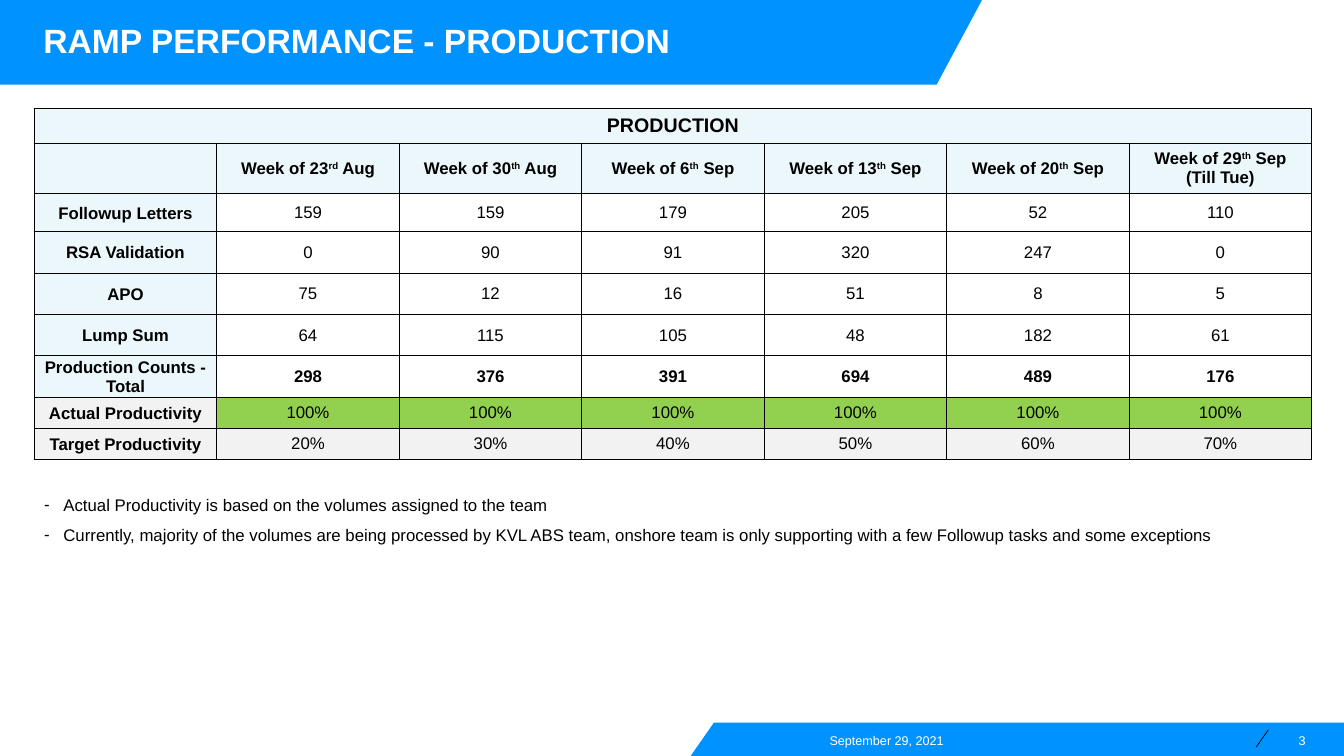
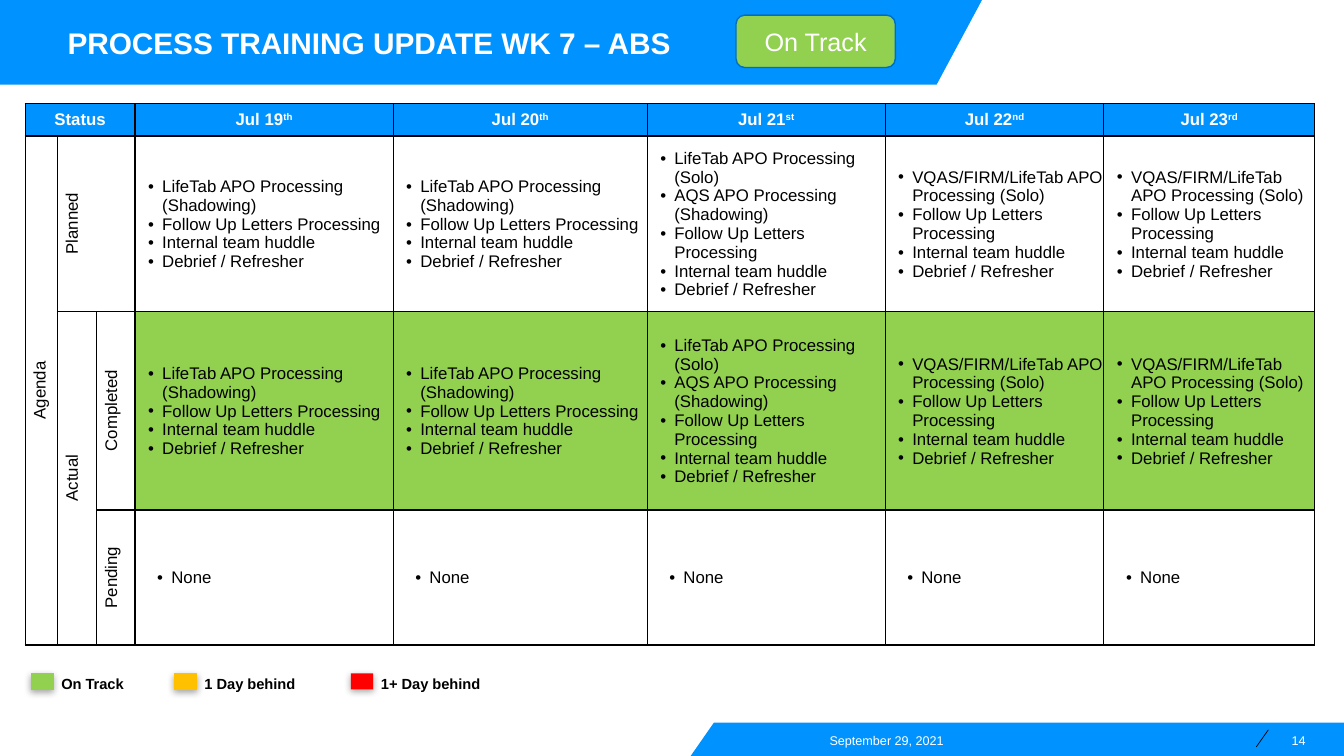
from lxml.etree import SubElement
from pptx import Presentation
from pptx.dml.color import RGBColor
from pptx.enum.shapes import MSO_CONNECTOR, MSO_SHAPE
from pptx.enum.text import MSO_ANCHOR, PP_ALIGN
from pptx.oxml.ns import qn
from pptx.util import Inches, Pt

BLUE, GREEN, AMBER, RED = "0093FF", "92D050", "FFC000", "FF0000"
BLACK, WHITE, PALE, GREY = "000000", "FFFFFF", "ECF7FB", "F2F2F2"
CENTER = {"alignment": PP_ALIGN.CENTER}
RIGHT = {"alignment": PP_ALIGN.RIGHT}
NO_MARGINS = dict.fromkeys(("margin_left", "margin_top", "margin_right", "margin_bottom"), 0)
TIGHT = {**NO_MARGINS, "margin_left": Inches(0.01), "margin_top": Inches(0.01),
         "margin_right": Inches(0.01)}


def rgb(value):
    return RGBColor.from_string(value)


def apply(target, fmt):
    for name, value in fmt.items():
        setattr(target, name, value)


class Deck:
    font = "Arial"
    date = "September 29, 2021"

    def __init__(self):
        self.prs = Presentation()
        apply(self.prs, {"slide_width": Inches(13.33), "slide_height": Inches(7.5)})
        self.slide = None

    def new_slide(self, title, number, box, size):
        self.slide = self.prs.slides.add_slide(self.prs.slide_layouts[6])
        self.band([(7.08, 7.17), (13.33, 7.17), (13.33, 7.5), (6.85, 7.5)])
        self.line(12.58, 7.24, 12.46, 7.41)
        self.band([(0, 0), (9.74, 0), (9.29, 0.84), (0, 0.84)])
        for text, left, width in ((self.date, 7.09, 2.27), (number, 12.58, 0.37)):
            self.text((left, 7.27, width, 0.15), [text], 9, WHITE, para=RIGHT, frame=NO_MARGINS)
        self.text(box, [title], size, WHITE, True, para={"space_before": Pt(10)},
                  frame={**NO_MARGINS, "vertical_anchor": MSO_ANCHOR.MIDDLE})

    def band(self, points):
        pts = [(Inches(x), Inches(y)) for x, y in points]
        fb = self.slide.shapes.build_freeform(*pts[0])
        fb.add_line_segments(pts[1:], close=True)
        self.paint(fb.convert_to_shape(), BLUE)

    def line(self, x1, y1, x2, y2):
        cx = self.slide.shapes.add_connector(
            MSO_CONNECTOR.STRAIGHT, *map(Inches, (x1, y1, x2, y2)))
        cx.line.color.rgb = rgb(BLACK)
        cx.line.width = Pt(0.5)
        SubElement(cx._element.spPr, qn("a:effectLst"))

    def paint(self, sp, fill, line=None, width=1):
        sp.shadow.inherit = False
        sp.fill.solid()
        sp.fill.fore_color.rgb = rgb(fill)
        if line:
            sp.line.color.rgb = rgb(line)
            sp.line.width = Pt(width)
        else:
            sp.line.fill.background()

    def shape(self, kind, box, fill, line=None, width=1):
        sp = self.slide.shapes.add_shape(kind, *map(Inches, box))
        self.paint(sp, fill, line, width)
        return sp

    def badge(self, box, text):
        sp = self.shape(MSO_SHAPE.ROUNDED_RECTANGLE, box, GREEN, "006DBD")
        sp.text_frame.vertical_anchor = MSO_ANCHOR.MIDDLE
        self.add_lines(sp.text_frame, [text], 18, WHITE, para=CENTER)

    def swatch(self, box, fill, line):
        sp = self.shape(MSO_SHAPE.RECTANGLE, box, fill, line, 0.75)
        effects = sp._element.spPr.find(qn("a:effectLst"))
        shadow = SubElement(effects, qn("a:outerShdw"), blurRad=str(Pt(5)),
                            dist=str(Pt(1.8)), dir="5400000", rotWithShape="0")
        color = SubElement(shadow, qn("a:srgbClr"), val=BLACK)
        SubElement(color, qn("a:alpha"), val="35000")

    def text(self, box, lines, size, color=BLACK, bold=False, para=None, bullet=None, frame=None):
        tf = self.slide.shapes.add_textbox(*map(Inches, box)).text_frame
        apply(tf, {"word_wrap": True, **(frame or {})})
        self.add_lines(tf, lines, size, color, bold, para, bullet)

    def add_lines(self, tf, lines, size, color=BLACK, bold=False, para=None, bullet=None):
        for i, text in enumerate(lines):
            p = tf.add_paragraph() if i else tf.paragraphs[0]
            apply(p, para or {})
            if bullet:
                char, indent, hang = bullet
                pPr = p._p.get_or_add_pPr()
                pPr.set("marL", str(Inches(indent)))
                pPr.set("indent", str(-Inches(hang)))
                SubElement(pPr, qn("a:buFont"), typeface=self.font)
                SubElement(pPr, qn("a:buChar"), char=char)
            for j, part in enumerate(text.split("^")):
                r = p.add_run()
                r.text = part
                apply(r.font, {"name": self.font, "size": Pt(size), "bold": bold})
                r.font.color.rgb = rgb(color)
                if j % 2:
                    r._r.get_or_add_rPr().set("baseline", "30000")

    def table(self, left, top, cols, rows):
        box = map(Inches, (left, top, sum(cols), sum(rows)))
        tbl = self.slide.shapes.add_table(len(rows), len(cols), *box).table
        apply(tbl, {"first_row": False, "horz_banding": False})
        for col, width in zip(tbl.columns, cols):
            col.width = Inches(width)
        for row, height in zip(tbl.rows, rows):
            row.height = Inches(height)
        for cell in tbl.iter_cells():
            tcPr = cell._tc.get_or_add_tcPr()
            for side in ("lnL", "lnR", "lnT", "lnB"):
                ln = SubElement(tcPr, qn("a:" + side), w=str(Pt(1)))
                SubElement(SubElement(ln, qn("a:solidFill")), qn("a:srgbClr"), val=BLACK)
            cell.fill.background()
            SubElement(cell.text_frame.paragraphs[0]._p, qn("a:endParaRPr"), sz="1200")
        return tbl

    def cell(self, tbl, row, col, lines, fill=None, size=12, color=BLACK, bold=False,
             para=CENTER, bullet=None, margins=None, end=None, vertical=False,
             anchor=MSO_ANCHOR.MIDDLE):
        cell = tbl.cell(row, col)
        if end:
            cell.merge(tbl.cell(*end))
        apply(cell, {"vertical_anchor": anchor, **(margins or {})})
        if vertical:
            cell._tc.get_or_add_tcPr().set("vert", "vert270")
        if fill:
            cell.fill.solid()
            cell.fill.fore_color.rgb = rgb(fill)
        self.add_lines(cell.text_frame, lines, size, color, bold, para, bullet)


def production(deck):
    deck.new_slide("RAMP PERFORMANCE - PRODUCTION", "3", (0.43, 0.08, 10.53, 0.64), 24)
    tbl = deck.table(0.34, 1.08, [1.81] * 7, [0.34, 0.48, 0.38] + [0.41] * 4 + [0.31] * 2)
    deck.cell(tbl, 0, 0, ["PRODUCTION"], PALE, 14, bold=True, end=(0, 6))
    weeks = [[], ["Week of 23^rd^ Aug"], ["Week of 30^th^ Aug"], ["Week of 6^th^ Sep"],
             ["Week of 13^th^ Sep"], ["Week of 20^th^ Sep"], ["Week of 29^th^ Sep", "(Till Tue)"]]
    for col, lines in enumerate(weeks):
        deck.cell(tbl, 1, col, lines, PALE, bold=True)
    counts = {
        "Followup Letters": [159, 159, 179, 205, 52, 110],
        "RSA Validation": [0, 90, 91, 320, 247, 0],
        "APO": [75, 12, 16, 51, 8, 5],
        "Lump Sum": [64, 115, 105, 48, 182, 61],
    }
    total = [298, 376, 391, 694, 489, 176]
    rows = [(label, values, PALE, None, False) for label, values in counts.items()]
    rows += [
        ("Production Counts - Total", total, PALE, None, True),
        ("Actual Productivity", ["100%"] * 6, GREY, GREEN, False),
        ("Target Productivity", [f"{n}%" for n in range(20, 80, 10)], GREY, GREY, False),
    ]
    for row, (label, values, label_fill, fill, bold) in enumerate(rows, 2):
        deck.cell(tbl, row, 0, [label], label_fill, bold=True, margins=TIGHT)
        for col, value in enumerate(values, 1):
            deck.cell(tbl, row, col, [str(value)], fill, bold=bold)
    notes = [
        "Actual Productivity is based on the volumes assigned to the team",
        "Currently, majority of the volumes are being processed by KVL ABS team, onshore team "
        "is only supporting with a few Followup tasks and some exceptions",
    ]
    deck.text((0.34, 4.76, 12.21, 0.71), notes, 12, para={"line_spacing": 1.5},
              bullet=("-", 0.19, 0.19))


def training(deck):
    deck.new_slide("PROCESS TRAINING UPDATE WK 7 – ABS", "14", (0.67, 0.1, 6.47, 0.64), 21.3)
    deck.badge((7.3, 0.15, 1.58, 0.52), "On Track")
    tbl = deck.table(0.25, 1.03, [0.32, 0.39, 0.38, 2.56, 2.52, 2.36, 2.17, 2.09],
                     [0.32, 1.74, 1.97, 1.34])
    header = {"fill": BLUE, "color": WHITE, "bold": True}
    deck.cell(tbl, 0, 0, ["Status"], end=(0, 2), **header)
    top = MSO_ANCHOR.TOP
    for row, col, label, end, anchor in (
            (1, 0, "Agenda", (3, 0), MSO_ANCHOR.MIDDLE),
            (1, 1, "Planned", (1, 2), MSO_ANCHOR.MIDDLE),
            (2, 1, "Actual", (3, 1), top),
            (2, 2, "Completed", None, top),
            (3, 2, "Pending", None, top)):
        deck.cell(tbl, row, col, [label], end=end, vertical=True, anchor=anchor)
    routine = ["Follow Up Letters Processing", "Internal team huddle", "Debrief / Refresher"]
    shadowing = ["LifeTab APO Processing (Shadowing)"] + routine
    mixed = ["LifeTab APO Processing (Solo)", "AQS APO Processing (Shadowing)"] + routine
    solo = ["VQAS/FIRM/LifeTab APO Processing (Solo)"] + routine
    days = [("Jul 19^th", shadowing), ("Jul 20^th", shadowing), ("Jul 21^st", mixed),
            ("Jul 22^nd", solo), ("Jul 23^rd", solo)]
    listing = {"para": None, "bullet": ("•", 0.26, 0.14)}
    for col, (day, tasks) in enumerate(days, 3):
        deck.cell(tbl, 0, col, [day], **header)
        for row, fill in ((1, None), (2, GREEN)):
            deck.cell(tbl, row, col, tasks, fill, margins=TIGHT, **listing)
        deck.cell(tbl, 3, col, ["None"], **listing)
    for left, label, fill, line in ((0.31, "On Track", GREEN, GREEN),
                                    (1.73, "1 Day behind", AMBER, AMBER),
                                    (3.48, "1+ Day behind", RED, None)):
        deck.text((left + 0.2, 6.65, 1.2, 0.28), [label], 10.5, bold=True)
        deck.swatch((left, 6.68, 0.22, 0.16), fill, line)


def main():
    deck = Deck()
    production(deck)
    training(deck)
    deck.prs.save("out.pptx")


if __name__ == "__main__":
    main()
